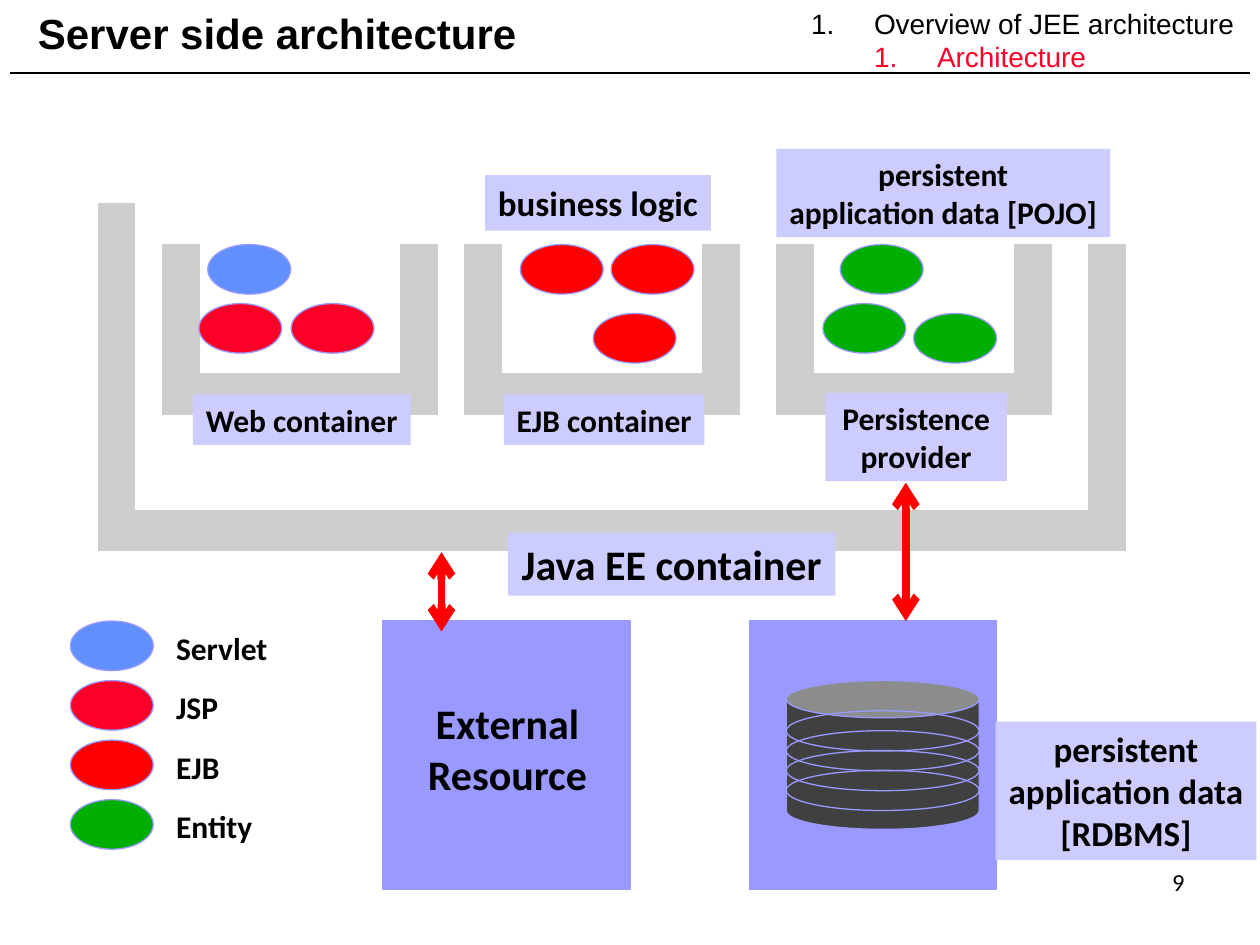
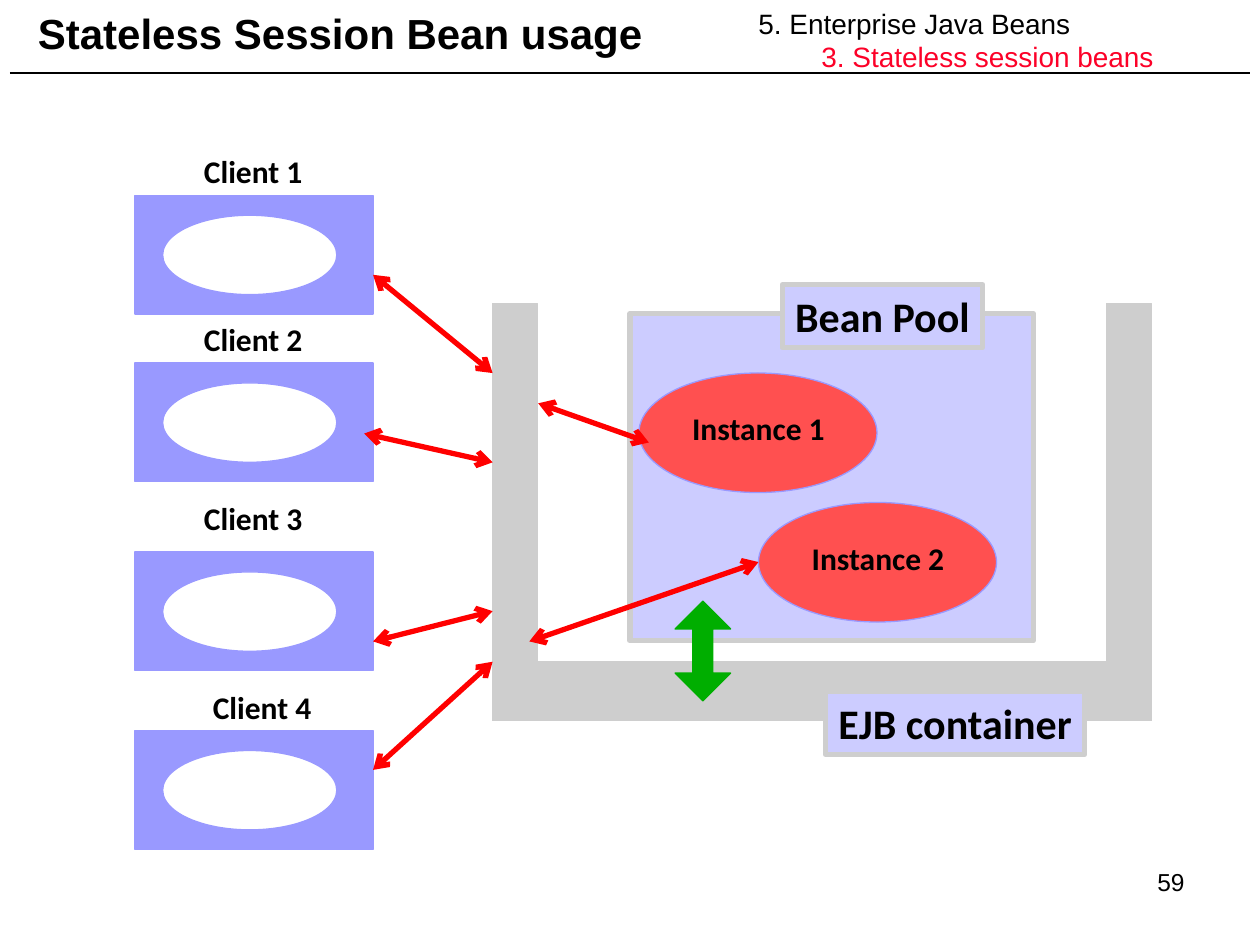
"""Build two slides on Java EE containers and session bean usage."""
from lxml.etree import SubElement
from pptx import Presentation
from pptx.dml.color import RGBColor
from pptx.enum.shapes import MSO_CONNECTOR, MSO_SHAPE
from pptx.enum.text import MSO_ANCHOR, PP_ALIGN
from pptx.oxml.ns import qn
from pptx.util import Cm, Pt

BLACK = "000000"
WHITE = "FFFFFF"
GREY = "CECECE"
PERIWINKLE = "9999FF"
LAVENDER = "CCCCFF"
RED = "FF0000"
CRIMSON = "FC0128"
CORAL = "FF5050"
BLUE = "618FFD"
GREEN = "00AE00"
CHARCOAL = "404040"
BEAN_COLOURS = {"Servlet": BLUE, "JSP": CRIMSON, "EJB": RED, "Entity": GREEN}


def colour(value):
    """Turn a hex string into a colour."""
    return RGBColor.from_string(value)


def set_font(paragraph, name, size, ink=BLACK, bold=False):
    """Give a paragraph its font."""
    font = paragraph.font
    font.name, font.size, font.bold = name, Pt(size), bold
    font.color.rgb = colour(ink)


def add_figure(slide, kind, left, top, width, height, fill=None, line=PERIWINKLE, weight=0.75):
    """Draw a preset shape; without a fill it is an outline."""
    figure = slide.shapes.add_shape(kind, Cm(left), Cm(top), Cm(width), Cm(height))
    figure.shadow.inherit = False
    if fill:
        figure.fill.solid()
        figure.fill.fore_color.rgb = colour(fill)
    else:
        figure.fill.background()
    figure.line.color.rgb = colour(line)
    figure.line.width = Pt(weight)
    return figure


def add_text(slide, text, left, top, width, height, size=18, align=PP_ALIGN.CENTER,
             name="Calibri", bold=True):
    """Write one paragraph per line of text in a box."""
    box = slide.shapes.add_textbox(Cm(left), Cm(top), Cm(width), Cm(height))
    box.text_frame.word_wrap = align != PP_ALIGN.CENTER
    box.text_frame.text = text
    for paragraph in box.text_frame.paragraphs:
        paragraph.alignment = align
        set_font(paragraph, name, size, bold=bold)
    return box


def add_label(slide, text, left, top, width, height, size=18, framed=False):
    """Write a centred caption on a lavender ground."""
    label = add_text(slide, text, left, top, width, height, size)
    label.fill.solid()
    label.fill.fore_color.rgb = colour(LAVENDER)
    if framed:
        label.line.color.rgb = colour(GREY)
        label.line.width = Pt(3)


def add_line(slide, start, end, ink, weight):
    """Draw a straight line without a shadow."""
    ends = [Cm(value) for value in (*start, *end)]
    line = slide.shapes.add_connector(MSO_CONNECTOR.STRAIGHT, *ends)
    line.line.color.rgb = colour(ink)
    line.line.width = Pt(weight)
    SubElement(line.element.spPr, qn("a:effectLst"))
    return line


def add_double_arrow(slide, start, end, weight):
    """Draw a red line with an open arrowhead at both ends."""
    outline = add_line(slide, start, end, RED, weight).line._get_or_add_ln()
    for tag in ("a:headEnd", "a:tailEnd"):
        SubElement(outline, qn(tag), type="arrow")


def add_container(slide, left, top, width, bottom, wall, base, right_top=None):
    """Draw an open container from two walls and a base."""
    right_top = right_top or top
    bars = [(left, bottom - base, width, base),
            (left, top, wall, bottom - top),
            (left + width - wall, right_top, wall, bottom - right_top)]
    for bar in bars:
        add_figure(slide, MSO_SHAPE.RECTANGLE, *bar, GREY, GREY)


def add_bean(slide, kind, left, top):
    """Draw a small ellipse in the colour of its kind."""
    add_figure(slide, MSO_SHAPE.OVAL, left, top, 1.67, 1, BEAN_COLOURS[kind])


def add_breadcrumb(slide, chapter, section, left, width, numbered=False):
    """Write the chapter and section at the top right."""
    box = add_text(slide, f"{chapter}\n{section}", left, 0, width, 1.63, 16,
                   PP_ALIGN.LEFT, "Arial", False)
    for level, (paragraph, ink) in enumerate(zip(box.text_frame.paragraphs, (BLACK, CRIMSON))):
        paragraph.level = level
        properties = paragraph._p.get_or_add_pPr()
        properties.set("marL", str(Cm(1.27 * (level + 1))))
        properties.set("indent", str(Cm(-1.27)))
        properties.remove(properties.find(qn("a:defRPr")))
        if numbered:
            bullet_colour = SubElement(properties, qn("a:buClr"))
            SubElement(bullet_colour, qn("a:srgbClr"), val=ink)
            SubElement(properties, qn("a:buAutoNum"), type="arabicPeriod")
        set_font(paragraph, "Arial", 16, ink)


def prepare_layout(deck):
    """Place the shared title and rule on the title-only layout."""
    layout = deck.slide_layouts[5]
    title = layout.placeholders[0]
    title.left, title.top, title.width, title.height = Cm(0.51), Cm(0), Cm(14.94), Cm(1.32)
    return layout


def add_page(deck, layout, title, number, number_font):
    """Add a slide with its title, rule and page number."""
    slide = deck.slides.add_slide(layout)
    slide.shapes.title.text_frame.text = title
    slide.shapes.title.text_frame.vertical_anchor = MSO_ANCHOR.MIDDLE
    paragraph = slide.shapes.title.text_frame.paragraphs[0]
    paragraph.alignment = PP_ALIGN.LEFT
    set_font(paragraph, "Arial", 24, bold=True)
    add_line(slide, (0.2, 1.47), (25.2, 1.47), BLACK, 1)
    add_text(slide, number, 18.21, 17.35, 5.92, 1.32, 14, PP_ALIGN.RIGHT, number_font, False)
    return slide


def add_database(slide):
    """Draw the database cylinder with its rings."""
    add_figure(slide, MSO_SHAPE.CAN, 15.85, 13.72, 3.89, 3, CHARCOAL)
    for ring in range(4):
        add_figure(slide, MSO_SHAPE.OVAL, 15.85, 14.33 + 0.4 * ring, 3.89, 0.81)


def add_legend(slide):
    """List the kinds of bean with their colours."""
    for row, kind in enumerate(BEAN_COLOURS):
        add_bean(slide, kind, 1.42, 12.52 + 1.2 * row)
        add_text(slide, kind, 3.3, 12.55 + 1.2 * row, 2.6, 1.02, align=PP_ALIGN.LEFT)


def build_architecture(deck, layout):
    """Build the slide on server side architecture."""
    slide = add_page(deck, layout, "Server side architecture", "9", "Calibri")
    add_breadcrumb(slide, "Overview of JEE architecture", "Architecture", 16.1, 9.25, True)
    for left in (7.72, 15.11):
        add_figure(slide, MSO_SHAPE.RECTANGLE, left, 12.52, 4.98, 5.41, PERIWINKLE)
    add_database(slide)
    add_legend(slide)
    add_double_arrow(slide, (8.9, 12.73), (8.9, 11.13), 4.5)
    add_container(slide, 1.98, 4.11, 20.7, 11.1, 0.74, 0.8, right_top=4.93)
    for left in (3.28, 9.37, 15.65):
        add_container(slide, left, 4.93, 5.54, 8.35, 0.74, 0.81)
    labels = [("Java EE container", 10.24, 10.74, 6.6, 1.27, 24),
              ("Web container", 3.89, 7.95, 4.39, 1.02, 18),
              ("EJB container", 10.16, 7.95, 4.04, 1.02, 18),
              ("Persistence\nprovider", 16.64, 7.92, 3.66, 1.78, 18),
              ("business logic", 9.78, 3.53, 4.55, 1.12, 20),
              ("persistent\napplication data [POJO]", 15.65, 3, 6.73, 1.78, 18),
              ("persistent\napplication data\n[RDBMS]", 20.07, 14.55, 5.26, 2.79, 20)]
    for label in labels:
        add_label(slide, *label)
    beans = {"Servlet": [(4.19, 4.93)],
             "JSP": [(5.87, 6.12), (4.01, 6.12)],
             "EJB": [(10.49, 4.93), (11.96, 6.32), (12.32, 4.93)],
             "Entity": [(16.94, 4.93), (18.42, 6.32), (16.59, 6.12)]}
    for kind, places in beans.items():
        for place in places:
            add_bean(slide, kind, *place)
    add_double_arrow(slide, (18.26, 12.52), (18.26, 9.73), 4.5)
    add_text(slide, "External\nResource", 8.26, 13.94, 3.94, 2.29, 24)


def add_client(slide, name, top, label_left, label_top):
    """Draw a client block with its name above."""
    add_figure(slide, MSO_SHAPE.RECTANGLE, 2.72, top, 4.8, 2.39, PERIWINKLE)
    add_figure(slide, MSO_SHAPE.OVAL, 3.28, top + 0.4, 3.51, 1.6, WHITE)
    add_text(slide, name, label_left, label_top, 2.49, 1.02)


def add_instance(slide, name, left, top):
    """Draw a named bean instance."""
    add_figure(slide, MSO_SHAPE.OVAL, left, top, 4.8, 2.41, CORAL)
    add_text(slide, name, left + 0.81, top + 0.61, 3.2, 1.02)


def build_bean_usage(deck, layout):
    """Build the slide on stateless session bean usage."""
    slide = add_page(deck, layout, "Stateless Session Bean usage", "59", "Arial")
    add_breadcrumb(slide, "5. Enterprise Java Beans", "3. Stateless session beans", 15.04, 10.2)
    clients = [(3.94, 3.86, 2.95), (7.32, 3.86, 6.32), (11.13, 3.86, 9.93), (14.73, 4.04, 13.74)]
    for number, places in enumerate(clients, start=1):
        add_client(slide, f"Client {number}", *places)
    add_figure(slide, MSO_SHAPE.RECTANGLE, 12.7, 6.32, 8.13, 6.6, LAVENDER, GREY, 3)
    add_label(slide, "Bean Pool", 15.77, 5.74, 4.04, 1.27, 24, framed=True)
    add_instance(slide, "Instance 1", 12.88, 7.52)
    add_instance(slide, "Instance 2", 15.29, 10.13)
    add_container(slide, 9.93, 6.12, 13.28, 14.53, 0.91, 1.19)
    add_label(slide, "EJB container", 16.64, 13.94, 5.23, 1.27, 24, framed=True)
    calls = [((7.52, 5.54), (9.93, 7.52)), ((7.34, 8.74), (9.93, 9.32)),
             ((7.52, 12.93), (9.93, 12.32)), ((7.52, 15.52), (9.93, 13.34)),
             ((10.85, 8.13), (13.08, 8.92)), ((10.67, 12.93), (15.29, 11.33))]
    for start, end in calls:
        add_double_arrow(slide, start, end, 3)
    exchange = add_figure(slide, MSO_SHAPE.UP_DOWN_ARROW, 13.61, 12.12, 1.12, 2.01, GREEN, GREEN)
    exchange.adjustments[0], exchange.adjustments[1] = 0.5, 0.36


def main():
    """Build and save the deck."""
    deck = Presentation()
    deck.slide_width, deck.slide_height = Cm(25.4), Cm(19.05)
    layout = prepare_layout(deck)
    build_architecture(deck, layout)
    build_bean_usage(deck, layout)
    deck.save("out.pptx")


if __name__ == "__main__":
    main()
